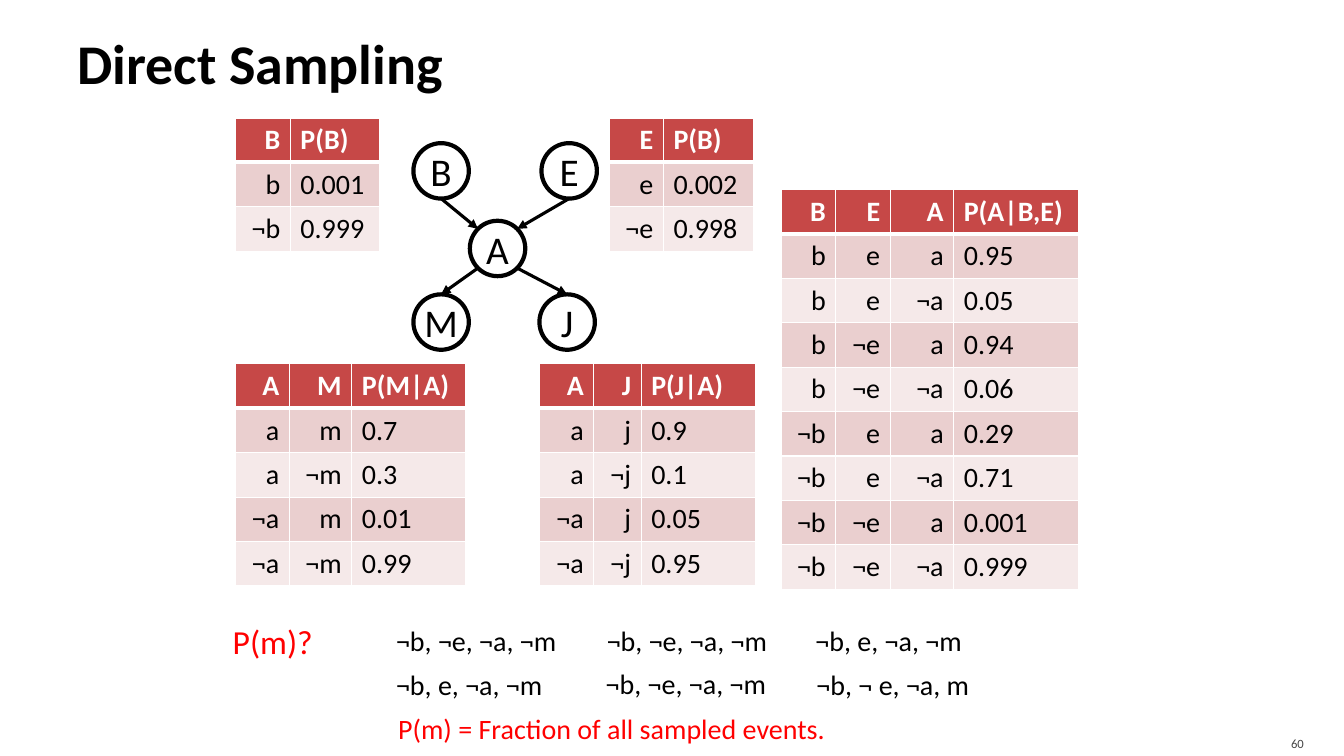
from dataclasses import dataclass
from math import sqrt

from pptx import Presentation
from pptx.dml.color import RGBColor
from pptx.enum.shapes import MSO_CONNECTOR, MSO_SHAPE
from pptx.enum.text import MSO_ANCHOR, PP_ALIGN
from pptx.oxml.ns import qn
from pptx.slide import Slide
from pptx.table import _Cell
from pptx.text.text import TextFrame
from pptx.util import Inches, Pt
from lxml import etree

LEFT, CENTER, RIGHT = PP_ALIGN.LEFT, PP_ALIGN.CENTER, PP_ALIGN.RIGHT
TOP, MIDDLE = MSO_ANCHOR.TOP, MSO_ANCHOR.MIDDLE
ELLIPSE, STRAIGHT = MSO_SHAPE.OVAL, MSO_CONNECTOR.STRAIGHT

FONT = "Calibri"
COLORS = {
    "black": "000000",
    "white": "FFFFFF",
    "red": "FF0000",
    "gray": "454545",
    "header": "C64847",
    "odd_row": "EACFCF",
    "even_row": "F5E9E9",
}
ROW_HEIGHT = 0.43
NODE_SIZE = 0.55
DIAGONAL = NODE_SIZE / 2 / sqrt(2)


@dataclass
class ProbabilityTable:
    left: float
    top: float
    widths: list[float]
    rows: list[str]


@dataclass
class Node:
    name: str
    left: float
    top: float

    @property
    def center(self) -> tuple[float, float]:
        return self.left + NODE_SIZE / 2, self.top + NODE_SIZE / 2


@dataclass
class Label:
    text: str
    left: float
    top: float
    width: float = 1.87
    height: float = 0.44
    size: float = 20
    color: str = "black"
    bold: bool = False
    align: PP_ALIGN = LEFT
    anchor: MSO_ANCHOR = TOP


TABLES = [
    ProbabilityTable(2.33, 1.17, [0.55, 0.89], ["B P(B)", "b 0.001", "¬b 0.999"]),
    ProbabilityTable(6.04, 1.17, [0.54, 0.89], ["E P(B)", "e 0.002", "¬e 0.998"]),
    ProbabilityTable(2.33, 3.61, [0.54, 0.62, 1.13], [
        "A M P(M|A)", "a m 0.7", "a ¬m 0.3", "¬a m 0.01", "¬a ¬m 0.99"]),
    ProbabilityTable(5.35, 3.61, [0.54, 0.47, 1.13], [
        "A J P(J|A)", "a j 0.9", "a ¬j 0.1", "¬a j 0.05", "¬a ¬j 0.95"]),
    ProbabilityTable(7.75, 1.88, [0.54, 0.54, 0.63, 1.24], [
        "B E A P(A|B,E)",
        "b e a 0.95", "b e ¬a 0.05", "b ¬e a 0.94", "b ¬e ¬a 0.06",
        "¬b e a 0.29", "¬b e ¬a 0.71", "¬b ¬e a 0.001", "¬b ¬e ¬a 0.999"]),
]

NODES = {node.name: node for node in [
    Node("B", 4.1, 1.42), Node("E", 5.37, 1.42), Node("A", 4.66, 2.19),
    Node("M", 4.1, 2.92), Node("J", 5.35, 2.92),
]}

LABELS = [
    Label("Direct Sampling", 0.67, 0.08, 12, 1.08, size=40, bold=True, anchor=MIDDLE),
    Label("60", 11.96, 7.2, 1.07, 0.3, size=9, color="gray", align=RIGHT, anchor=MIDDLE),
    Label("P(m)?", 2.21, 6.11, height=0.5, size=24, color="red"),
    Label("¬b, ¬e, ¬a, ¬m", 3.83, 6.14),
    Label("¬b, ¬e, ¬a, ¬m", 5.92, 6.14),
    Label("¬b, e, ¬a, ¬m", 7.99, 6.14),
    Label("¬b, e, ¬a, ¬m", 3.83, 6.57),
    Label("¬b, ¬e, ¬a, ¬m", 5.91, 6.56),
    Label("¬b, ¬ e, ¬a, m", 8, 6.57),
    Label("P(m) = Fraction of all sampled events.", 3.85, 7.01, 4.76, color="red"),
]


def rgb(name: str) -> RGBColor:
    return RGBColor.from_string(COLORS[name])


def write(frame: TextFrame, text: str, *, size: float = 20, color: str = "black",
          bold: bool = False, align: PP_ALIGN = LEFT) -> None:
    paragraph = frame.paragraphs[0]
    paragraph.alignment = align
    run = paragraph.add_run()
    run.text = text
    run.font.name = FONT
    run.font.size = Pt(size)
    run.font.bold = bold
    run.font.color.rgb = rgb(color)


def add_label(slide: Slide, label: Label) -> None:
    box = slide.shapes.add_textbox(
        Inches(label.left), Inches(label.top), Inches(label.width), Inches(label.height))
    frame = box.text_frame
    frame.word_wrap = True
    frame.vertical_anchor = label.anchor
    if label.anchor == MIDDLE and label.align == RIGHT:
        frame.margin_bottom = 0
    write(frame, label.text, size=label.size, color=label.color,
          bold=label.bold, align=label.align)


def set_borders(cell: _Cell, widths: dict[str, float]) -> None:
    properties = cell._tc.get_or_add_tcPr()
    for side, width in widths.items():
        line = etree.SubElement(properties, qn(f"a:ln{side}"), w=str(Pt(width)))
        fill = etree.SubElement(line, qn("a:solidFill"))
        etree.SubElement(fill, qn("a:srgbClr"), val=COLORS["white"])


def add_probability_table(slide: Slide, data: ProbabilityTable) -> None:
    table = slide.shapes.add_table(
        len(data.rows), len(data.widths), Inches(data.left), Inches(data.top),
        Inches(sum(data.widths)), Inches(ROW_HEIGHT * len(data.rows))).table
    for column, width in zip(table.columns, data.widths):
        column.width = Inches(width)
    for row_index, row in enumerate(data.rows):
        table.rows[row_index].height = Inches(ROW_HEIGHT)
        header = row_index == 0
        fill = "header" if header else "odd_row" if row_index % 2 else "even_row"
        for column_index, text in enumerate(row.split()):
            cell = table.cell(row_index, column_index)
            set_borders(cell, {"L": 1, "R": 1, "T": 3 if row_index == 1 else 1,
                               "B": 3 if header else 1})
            cell.fill.solid()
            cell.fill.fore_color.rgb = rgb(fill)
            last = column_index == len(data.widths) - 1
            write(cell.text_frame, text, color="white" if header else "black",
                  bold=header, align=LEFT if last else RIGHT)


def add_node(slide: Slide, node: Node) -> None:
    circle = slide.shapes.add_shape(
        ELLIPSE, Inches(node.left), Inches(node.top), Inches(NODE_SIZE), Inches(NODE_SIZE))
    circle.shadow.inherit = False
    circle.fill.background()
    circle.line.color.rgb = rgb("black")
    circle.line.width = Pt(3)
    frame = circle.text_frame
    frame.margin_left = frame.margin_right = frame.margin_top = frame.margin_bottom = 0
    frame.vertical_anchor = MIDDLE
    frame.word_wrap = False
    write(frame, node.name, size=28, align=CENTER)


def add_arrow(slide: Slide, start: tuple[float, float], end: tuple[float, float]) -> None:
    arrow = slide.shapes.add_connector(STRAIGHT, *(Inches(value) for value in start + end))
    arrow.line.color.rgb = rgb("black")
    arrow.line.width = Pt(2.25)
    etree.SubElement(arrow.line._get_or_add_ln(), qn("a:tailEnd"), type="triangle")
    etree.SubElement(arrow._element.spPr, qn("a:effectLst"))


def add_network(slide: Slide) -> None:
    for node in NODES.values():
        add_node(slide, node)
    alarm_x, alarm_y = NODES["A"].center
    for name, side in [("B", -1), ("E", 1), ("M", -1), ("J", 1)]:
        x, y = NODES[name].center
        corner_x = alarm_x + side * DIAGONAL
        if y < alarm_y:
            add_arrow(slide, (x, y + NODE_SIZE / 2), (corner_x, alarm_y - DIAGONAL))
        else:
            add_arrow(slide, (corner_x, alarm_y + DIAGONAL), (x, y - NODE_SIZE / 2))


def main() -> None:
    presentation = Presentation()
    presentation.slide_width, presentation.slide_height = Inches(13.33), Inches(7.5)
    slide = presentation.slides.add_slide(presentation.slide_layouts[6])
    # Probability tables
    for data in TABLES:
        add_probability_table(slide, data)
    # Title, samples and slide number
    for label in LABELS:
        add_label(slide, label)
    # Bayesian network
    add_network(slide)
    presentation.save("out.pptx")


if __name__ == "__main__":
    main()
